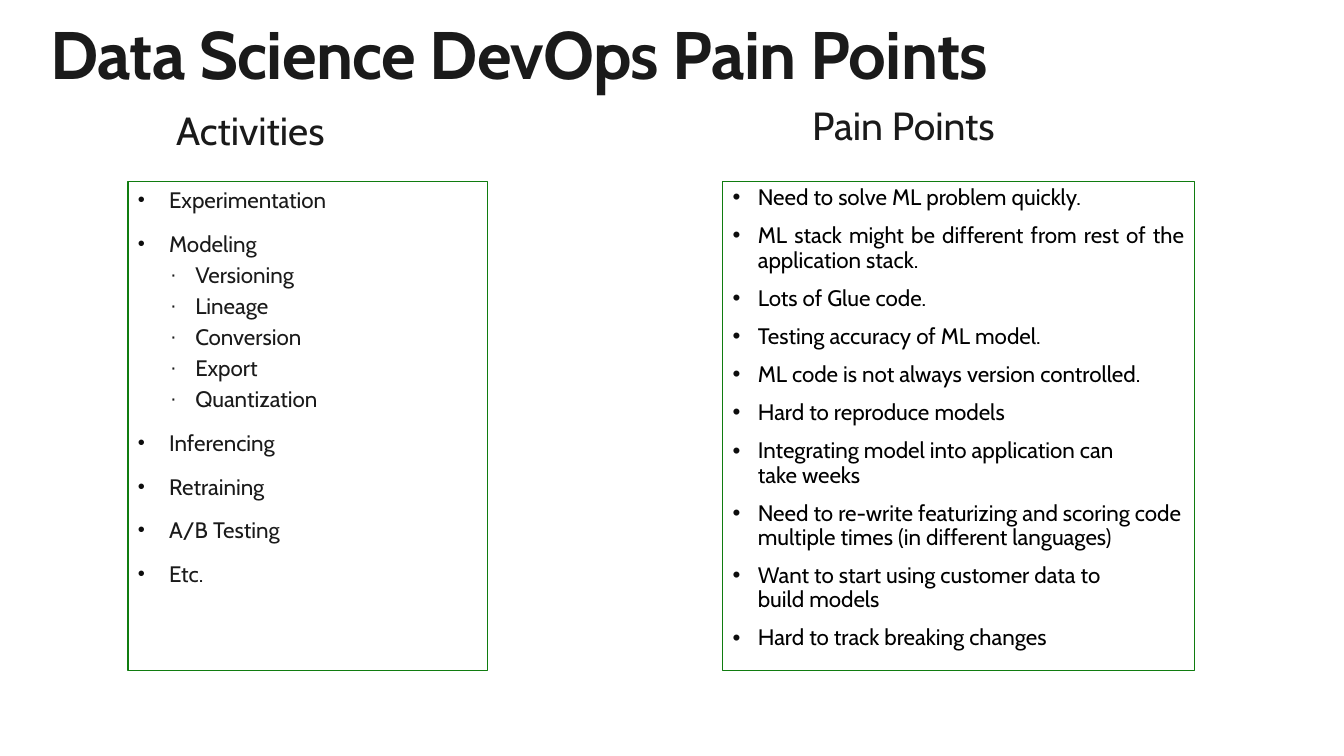
from lxml import etree
from pptx import Presentation
from pptx.dml.color import RGBColor
from pptx.enum.shapes import MSO_SHAPE
from pptx.enum.text import MSO_ANCHOR, PP_ALIGN
from pptx.oxml.ns import qn
from pptx.util import Pt

RECT = MSO_SHAPE.RECTANGLE
TOP, MIDDLE = MSO_ANCHOR.TOP, MSO_ANCHOR.MIDDLE
LEFT, JUSTIFY = PP_ALIGN.LEFT, PP_ALIGN.JUSTIFY
HARD = chr(160)
COLORS = {"ink": "1A1A1A", "black": "000000", "dot": "0D0D0D",
          "green": "107C10", "white": "FFFFFF"}

deck = Presentation()
deck.slide_width, deck.slide_height = Pt(960), Pt(540)
slide = deck.slides.add_slide(deck.slide_layouts[6])


def style(para, size, color, bold=False):
    font = para.font
    font.name, font.size, font.bold = "Cabin", Pt(size), bold
    font.color.rgb = RGBColor.from_string(COLORS[color])


def bullet(para, char, indent, hang, scale, color):
    props = para._p.get_or_add_pPr()
    props.set("marL", str(Pt(indent)))
    props.set("indent", str(-Pt(hang)))
    tint = etree.SubElement(props, qn("a:buClr"))
    etree.SubElement(tint, qn("a:srgbClr"), val=COLORS[color])
    etree.SubElement(props, qn("a:buSzPct"), val=str(scale * 1000))
    etree.SubElement(props, qn("a:buFont"), typeface="Arial")
    etree.SubElement(props, qn("a:buChar"), char=char)


heads = [
    ("Data Science DevOps Pain Points", 36, 8.64, 823.68, 66.96, 48, True),
    ("Activities", 118.8, 66.24, 164.16, 56.88, 28, False),
    ("Pain Points", 573.12, 66.24, 232.56, 49.68, 28, False),
]
for text, left, top, width, height, size, title in heads:
    box = slide.shapes.add_textbox(Pt(left), Pt(top), Pt(width), Pt(height))
    frame = box.text_frame
    frame.word_wrap = True
    frame.vertical_anchor = TOP if title else MIDDLE
    para = frame.paragraphs[0]
    para.text = text
    if title:
        frame.margin_left = frame.margin_right = 0
        frame.margin_top = frame.margin_bottom = 0
    else:
        para.line_spacing = 0.9
    style(para, size, "ink", title)
    if title:
        para.font._element.set("spc", "-50")

tasks = [
    ("Experimentation", 0), ("Modeling", 0),
    ("Versioning", 1), ("Lineage", 1), ("Conversion", 1),
    ("Export", 1), ("Quantization", 1),
    ("Inferencing", 0), ("Retraining", 0), ("A/B Testing", 0), ("Etc.", 0),
]
pains = [
    ("Need to solve ML problem~quickly.", JUSTIFY),
    ("ML stack might be different from rest of the application~stack.", JUSTIFY),
    ("Lots of Glue~code.", JUSTIFY),
    ("Testing accuracy of ML~model.", JUSTIFY),
    ("ML code is not always version~controlled.", JUSTIFY),
    ("Hard to reproduce~models", LEFT),
    ("Integrating model into application can take~weeks", LEFT),
    ("Need to re-write~featurizing~and scoring code multiple times "
     "(in different languages)", LEFT),
    ("Want to start using customer data to build~models", LEFT),
    ("Hard to track breaking~changes", LEFT),
]

frames = []
for left, width in [(91.44, 257.04), (516.24, 336.96)]:
    panel = slide.shapes.add_shape(RECT, Pt(left), Pt(129.6), Pt(width), Pt(349.2))
    panel.shadow.inherit = False
    panel.fill.solid()
    panel.fill.fore_color.rgb = RGBColor.from_string(COLORS["white"])
    panel.line.color.rgb = RGBColor.from_string(COLORS["green"])
    panel.line.width = Pt(0.85)
    frame = panel.text_frame
    frame.word_wrap = True
    frame.vertical_anchor = TOP
    frames.append(frame)

for i, (text, level) in enumerate(tasks):
    para = frames[0].add_paragraph() if i else frames[0].paragraphs[0]
    para.text, para.level, para.alignment = text, level, LEFT
    para.space_before = Pt(3 if level else 12)
    if level:
        bullet(para, "·", 41, 18, 90, "ink")
    else:
        bullet(para, "•", 22.32, 22.32, 90, "dot")
    style(para, 16, "ink")

for i, (text, align) in enumerate(pains):
    para = frames[1].add_paragraph() if i else frames[1].paragraphs[0]
    para.text, para.alignment = text.replace("~", HARD), align
    para.line_spacing, para.space_before = 0.9, Pt(10)
    bullet(para, "•", 18, 18, 100, "dot")
    style(para, 16, "black")

deck.save("out.pptx")
